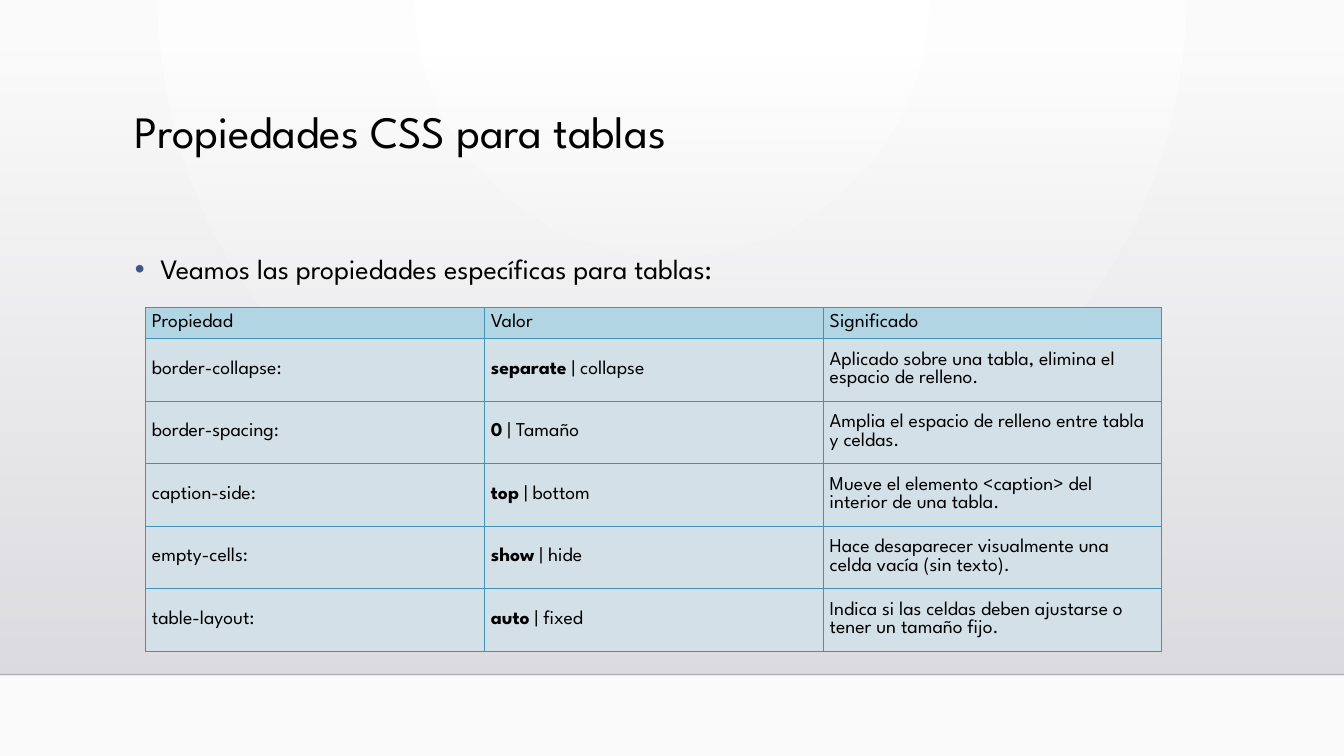
from dataclasses import dataclass

from lxml.etree import SubElement
from pptx import Presentation
from pptx.dml.color import RGBColor as Rgb
from pptx.enum.shapes import MSO_CONNECTOR as Link, MSO_SHAPE as Shape
from pptx.enum.text import MSO_ANCHOR as Anchor
from pptx.oxml import parse_xml
from pptx.oxml.ns import nsdecls, qn
from pptx.util import Cm, Pt


@dataclass(frozen=True)
class Theme:
    font: str = "League Spartan"
    ink: str = "000000"
    bullet: str = "415588"
    head: str = "B2D5E3"
    body: str = "D4E0E8"
    border: str = "4294B6"
    rule: str = "000001"
    glow: tuple = (("FFFFFF", 100), ("FAFAFA", 100))
    shade: tuple = (("DCDCE0", 0), ("DEDEE2", 100))
    title: int = 32
    lead: int = 20
    cell: int = 14


THEME = Theme()

ROWS = [
    ("Propiedad", "Valor", "Significado"),
    ("border-collapse:", ("separate", " | collapse"),
     "Aplicado sobre una tabla, elimina el espacio de relleno."),
    ("border-spacing:", ("0", " | Tamaño"),
     "Amplia el espacio de relleno entre tabla y celdas."),
    ("caption-side:", ("top", " | bottom"),
     "Mueve el elemento <caption> del interior de una tabla."),
    ("empty-cells:", ("show", " | hide"),
     "Hace desaparecer visualmente una celda vacía (sin texto)."),
    ("table-layout:", ("auto", " | fixed"),
     "Indica si las celdas deben ajustarse o tener un tamaño fijo."),
]


def set_grad(props, stops, way):
    """Replace the gradient in props by two (colour, opacity) stops."""
    marks = "".join(
        f'<a:gs pos="{i * 100000}"><a:srgbClr val="{color}">'
        f'<a:alpha val="{alpha * 1000}"/></a:srgbClr></a:gs>'
        for i, (color, alpha) in enumerate(stops))
    old = props.find(qn("a:gradFill"))
    props.replace(old, parse_xml(
        f'<a:gradFill {nsdecls("a")} rotWithShape="1">'
        f"<a:gsLst>{marks}</a:gsLst>{way}</a:gradFill>"))


def add_back(slide):
    back = slide.background
    back.fill.gradient()
    set_grad(back.fill._xPr, THEME.glow,
             '<a:path path="circle"><a:fillToRect l="43000" t="0" '
             'r="43000" b="100000"/></a:path>')


def add_shade(slide, x, y, w, h):
    box = slide.shapes.add_shape(Shape.RECTANGLE, x, y, w, h)
    box.shadow.inherit = False
    box.line.fill.background()
    box.fill.gradient()
    set_grad(box._element.spPr, THEME.shade, '<a:lin ang="5400000" scaled="0"/>')


def add_rule(slide, y, width):
    rule = slide.shapes.add_connector(Link.STRAIGHT, 0, y, width, y)
    rule.line.width = Pt(1)
    rule.line.color.rgb = Rgb.from_string(THEME.rule)
    props = rule._element.spPr
    tint = props.find(".//" + qn("a:srgbClr"))
    SubElement(tint, qn("a:alpha"), val="20000")
    SubElement(props, qn("a:effectLst"))


def add_run(para, text, size, bold=False):
    run = para.add_run()
    run.text = text
    run.font.name = THEME.font
    run.font.size = Pt(size)
    run.font.bold = bold
    run.font.color.rgb = Rgb.from_string(THEME.ink)


def add_text(slide, x, y, w, h, text, size, space):
    frame = slide.shapes.add_textbox(x, y, w, h).text_frame
    frame.word_wrap = True
    para = frame.paragraphs[0]
    para.line_spacing = space
    add_run(para, text, size)
    return para


def set_bullet(para):
    props = para._p.get_or_add_pPr()
    props.set("marL", str(Cm(0.64)))
    props.set("indent", str(-Cm(0.64)))
    color = SubElement(props, qn("a:buClr"))
    SubElement(color, qn("a:srgbClr"), val=THEME.bullet)
    SubElement(props, qn("a:buFont"), typeface="Arial")
    SubElement(props, qn("a:buChar"), char="•")


def set_edges(cell):
    """Draw all four borders; they must precede the fill in the XML."""
    props = cell._tc.get_or_add_tcPr()
    for i, side in enumerate(("lnL", "lnR", "lnT", "lnB")):
        props.insert(i, parse_xml(
            f'<a:{side} {nsdecls("a")} w="{Pt(0.75)}"><a:solidFill>'
            f'<a:srgbClr val="{THEME.border}"/></a:solidFill></a:{side}>'))


def fill_cell(cell, text, color):
    cell.fill.solid()
    cell.fill.fore_color.rgb = Rgb.from_string(color)
    set_edges(cell)
    cell.vertical_anchor = Anchor.MIDDLE
    cell.margin_left = cell.margin_right = Cm(0.17)
    cell.margin_top = cell.margin_bottom = Cm(0.08)
    para = cell.text_frame.paragraphs[0]
    if isinstance(text, str):
        add_run(para, text, THEME.cell)
    else:
        first, rest = text
        add_run(para, first, THEME.cell, True)
        add_run(para, rest, THEME.cell)


def add_grid(slide, x, y, width, rows, top, step):
    """Add a table with a header of height top and rows of height step."""
    count = len(rows[0])
    high = top + step * (len(rows) - 1)
    grid = slide.shapes.add_table(len(rows), count, x, y, width, high).table
    for i, row in enumerate(rows):
        grid.rows[i].height = step if i else top
        for j, text in enumerate(row):
            fill_cell(grid.cell(i, j), text, THEME.body if i else THEME.head)


def main():
    deck = Presentation()
    deck.slide_width, deck.slide_height = Cm(33.87), Cm(19.05)
    slide = deck.slides.add_slide(deck.slide_layouts[6])
    wide = deck.slide_width
    add_back(slide)
    add_shade(slide, 0, Cm(1.3), wide, Cm(15.7))
    add_rule(slide, Cm(17), wide)
    left, span = Cm(3.15), Cm(26.67)
    add_text(slide, left, Cm(2.64), span, Cm(2.92),
             "Propiedades CSS para tablas", THEME.title, 0.9)
    lead = add_text(slide, left, Cm(6.05), span, Cm(9.14),
                    "Veamos las propiedades específicas para tablas:",
                    THEME.lead, 1.2)
    lead.space_before = Pt(10)
    set_bullet(lead)
    add_grid(slide, Cm(3.66), Cm(7.75), Cm(25.62), ROWS, Cm(0.78), Cm(1.575))
    deck.save("out.pptx")


if __name__ == "__main__":
    main()
